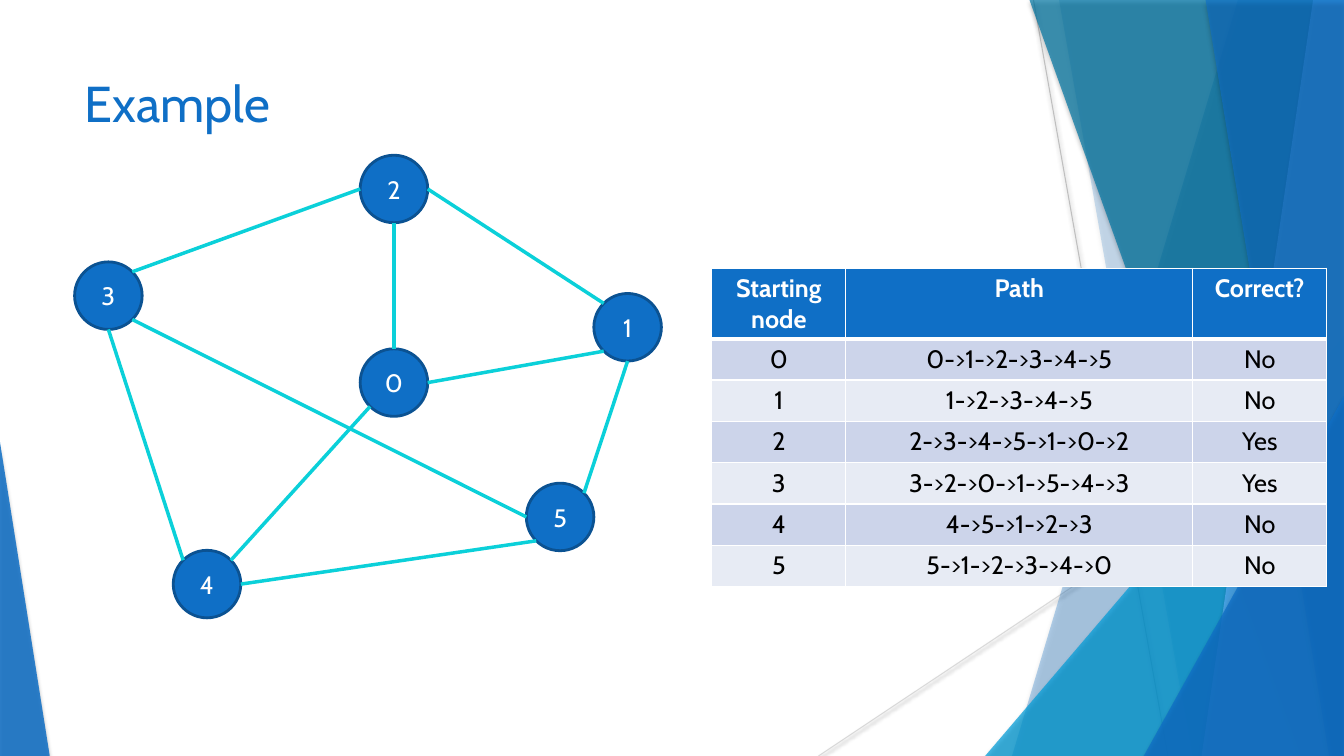
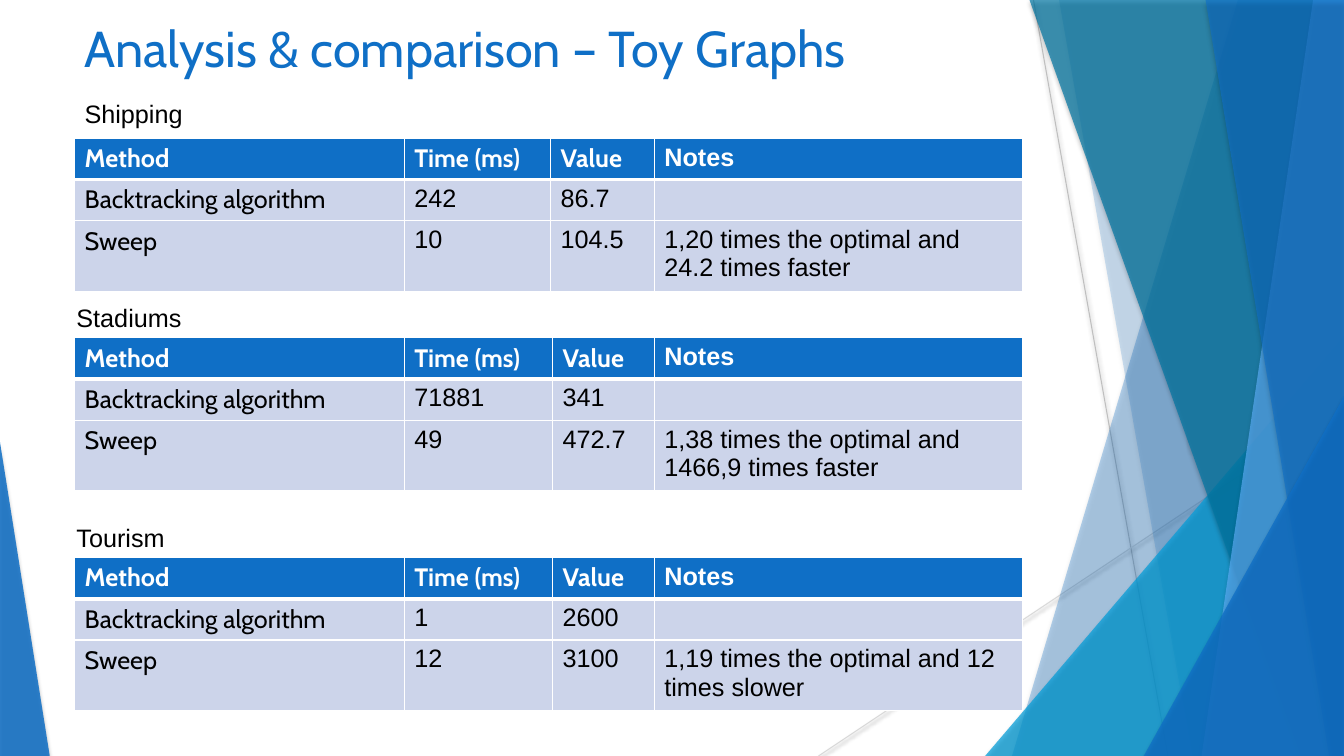
from collections import namedtuple
from math import cos, pi, sin

from lxml import etree
from pptx import Presentation
from pptx.dml.color import RGBColor
from pptx.enum.shapes import MSO_CONNECTOR, MSO_SHAPE
from pptx.enum.text import MSO_ANCHOR, PP_ALIGN
from pptx.oxml.ns import qn
from pptx.util import Inches, Pt

Box = namedtuple("Box", "left top width height")
Facet = namedtuple("Facet", "outline start end color alpha")

STRAIGHT = MSO_CONNECTOR.STRAIGHT
ELLIPSE, TRIANGLE = MSO_SHAPE.OVAL, MSO_SHAPE.ISOSCELES_TRIANGLE
LEFT, CENTER = PP_ALIGN.LEFT, PP_ALIGN.CENTER

SLIDE = Box(0, 0, 13.33, 7.5)
BLUE, DARK_BLUE, AQUA = "0F6FC6", "0B5292", "0BD0D9"
CYAN, TEAL, SKY = "009DD9", "0076A3", "59AAF2"
WHITE, BLACK = "FFFFFF", "000000"
PALE_BLUE, PALE_GRAY = "CCD4EA", "E7EBF4"
CABIN, ARIAL = "Cabin", "Arial"
TITLE_SIZE, BODY_SIZE = 36, 18
THIN_BORDER, THICK_BORDER = 0.96, 3

# Percentages of the slide: a band gives its top and bottom x, a corner its left and top.
FACETS = [
    Facet("band", 92.1, 75.3, BLUE, 30),
    Facet("band", 78.8, 88.7, BLUE, 20),
    Facet("corner", 73.3, 44.4, CYAN, 72),
    Facet("band", 76.6, 96.8, TEAL, 70),
    Facet("band", 97.7, 89.4, SKY, 70),
    Facet("band", 89.7, 98.9, BLUE, 65),
    Facet("corner", 85.1, 52.4, BLUE, 80),
]
RAYS = [((76.9, 0), (86.9, 100), "BFBFBF"), ((100, 53.7), (60.9, 100), "D9D9D9")]

# Connection sites of an ellipse, counted anticlockwise from the top.
(TOP, TOP_LEFT, MID_LEFT, BOTTOM_LEFT,
 BOTTOM, BOTTOM_RIGHT, MID_RIGHT, TOP_RIGHT) = range(8)
NODE_SIZE = 0.67
# Shares of the room that the graph's box leaves for a node.
NODES = {5: (0.87, 0.83), 4: (0.19, 1), 3: (0, 0.27),
         2: (0.55, 0), 1: (1, 0.35), 0: (0.55, 0.49)}
EDGES = [
    (2, BOTTOM, 0, TOP),
    (1, BOTTOM_LEFT, 0, MID_RIGHT),
    (3, BOTTOM_RIGHT, 5, MID_LEFT),
    (4, TOP_RIGHT, 0, BOTTOM_LEFT),
    (5, BOTTOM_LEFT, 4, MID_RIGHT),
    (1, BOTTOM, 5, TOP_RIGHT),
    (1, TOP_LEFT, 2, MID_RIGHT),
    (2, MID_LEFT, 3, TOP_RIGHT),
    (3, BOTTOM, 4, TOP_LEFT),
]

PATH_ROWS = [
    ["Starting node", "Path", "Correct?"],
    ["0", "0->1->2->3->4->5", "No"],
    ["1", "1->2->3->4->5", "No"],
    ["2", "2->3->4->5->1->0->2", "Yes"],
    ["3", "3->2->0->1->5->4->3", "Yes"],
    ["4", "4->5->1->2->3", "No"],
    ["5", "5->1->2->3->4->0", "No"],
]

Comparison = namedtuple("Comparison", "name label_at table_top columns last_row results")
COMPARISON_HEADER = ["Method", "Time (ms)", "Value", "Notes"]
METHODS = ["Backtracking algorithm", "Sweep"]
COMPARISONS = [
    Comparison("Shipping", (0.74, 0.93), 1.37, [3.27, 1.45, 1.03, 3.65], 0.66, [
        ["242", "86.7", ""],
        ["10", "104.5", "1,20 times the optimal and 24.2 times faster"]]),
    Comparison("Stadiums", (0.66, 2.95), 3.35, [3.27, 1.47, 1.01, 3.65], 0.69, [
        ["71881", "341", ""],
        ["49", "472.7", "1,38 times the optimal and 1466,9 times faster"]]),
    Comparison("Tourism", (0.66, 5.13), 5.53, [3.27, 1.47, 1.01, 3.65], 0.69, [
        ["1", "2600", ""],
        ["12", "3100", "1,19 times the optimal and 12 times slower"]]),
]


def rgb(color):
    return RGBColor.from_string(color)


def inches(*lengths):
    return [Inches(length) for length in lengths]


def slide_point(x, y):
    """Turn percentages of the slide into lengths."""
    return inches(SLIDE.width * x / 100, SLIDE.height * y / 100)


def add_element(parent, tag, **attributes):
    element = etree.SubElement(parent, qn(tag))
    for name, value in attributes.items():
        element.set(name, str(value))
    return element


def add_effects(shape, blur=0, distance=0, alpha=0):
    """Replace the theme's shadow by one that falls downwards, or by none."""
    effects = add_element(shape.element.spPr, "a:effectLst")
    if alpha:
        shadow = add_element(effects, "a:outerShdw", blurRad=Pt(blur), dist=Pt(distance),
                             dir=90 * 60000, algn="ctr", rotWithShape=0)
        color = add_element(shadow, "a:srgbClr", val=BLACK)
        add_element(color, "a:alpha", val=alpha * 1000)


def fill_solid(target, color, alpha=100):
    target.fill.solid()
    target.fill.fore_color.rgb = rgb(color)
    if alpha < 100:
        for element in target.element.spPr.iterfind(qn("a:solidFill") + "/" + qn("a:srgbClr")):
            add_element(element, "a:alpha", val=alpha * 1000)


def set_text(text_frame, text, color, font=CABIN, size=BODY_SIZE, bold=False, align=LEFT):
    text_frame.text = text
    for paragraph in text_frame.paragraphs:
        paragraph.alignment = align
        for run in paragraph.runs:
            run.font.name, run.font.size, run.font.bold = font, Pt(size), bold
            run.font.color.rgb = rgb(color)


def add_text(slide, box, text, color, font, size):
    text_frame = slide.shapes.add_textbox(*inches(*box)).text_frame
    text_frame.word_wrap = True
    set_text(text_frame, text, color, font, size)


def add_title(slide, box, text):
    add_text(slide, box, text, BLUE, CABIN, TITLE_SIZE)


def add_line(slide, start, end, color, width):
    line = slide.shapes.add_connector(STRAIGHT, *start, *end)
    line.line.color.rgb = rgb(color)
    line.line.width = Pt(width)
    return line


def finish_facet(shape, color, alpha):
    shape.line.fill.background()
    fill_solid(shape, color, alpha)
    add_effects(shape, 3, 2, 35)


def add_band(slide, top_x, bottom_x):
    """Add a panel from a slanted left side to the right edge of the slide."""
    builder = slide.shapes.build_freeform(*slide_point(top_x, 0))
    builder.add_line_segments(
        [slide_point(x, y) for x, y in [(100, 0), (100, 100), (bottom_x, 100)]], close=True)
    return builder.convert_to_shape()


def add_corner(slide, left, top, right=100, apex=1):
    """Add a triangle that stands on the bottom edge; apex is its peak's share of the width."""
    x, y = slide_point(left, top)
    width, height = slide_point(right - left, 100 - top)
    shape = slide.shapes.add_shape(TRIANGLE, x, y, width, height)
    shape.adjustments[0] = apex
    return shape


def decorate_layout(layout, slide):
    """Draw the shared facets on a slide and move them to its layout."""
    for start, end, color in RAYS:
        ray = add_line(slide, slide_point(*start), slide_point(*end), color, 0.75)
        add_effects(ray, 3.1, 1.6, 38)
    add_outline = {"band": add_band, "corner": add_corner}
    for facet in FACETS:
        shape = add_outline[facet.outline](slide, facet.start, facet.end)
        finish_facet(shape, facet.color, facet.alpha)
    finish_facet(add_corner(slide, 0, 58.5, right=3.7, apex=0), BLUE, 85)
    for shape in list(slide.shapes):
        layout.shapes.element.append(shape.element)


def add_node(slide, left, top, label):
    node = slide.shapes.add_shape(ELLIPSE, *inches(left, top, NODE_SIZE, NODE_SIZE))
    fill_solid(node, BLUE)
    node.line.color.rgb = rgb(DARK_BLUE)
    node.line.width = Pt(2)
    node.shadow.inherit = False
    node.text_frame.vertical_anchor = MSO_ANCHOR.MIDDLE
    set_text(node.text_frame, label, WHITE, align=CENTER)
    return node


def site_point(node, site):
    radius, angle = node.width / 2, site * pi / 4
    return (round(node.left + radius * (1 - sin(angle))),
            round(node.top + radius * (1 - cos(angle))))


def add_edge(slide, start_node, start_site, end_node, end_site):
    edge = add_line(slide, site_point(start_node, start_site),
                    site_point(end_node, end_site), AQUA, 2.5)
    add_effects(edge)
    glue = edge.element.nvCxnSpPr.cNvCxnSpPr
    add_element(glue, "a:stCxn", id=start_node.shape_id, idx=start_site)
    add_element(glue, "a:endCxn", id=end_node.shape_id, idx=end_site)


def add_graph(slide, box):
    nodes = {}
    for number, (across, down) in NODES.items():
        left = box.left + across * (box.width - NODE_SIZE)
        top = box.top + down * (box.height - NODE_SIZE)
        nodes[number] = add_node(slide, left, top, str(number))
    for start, start_site, end, end_site in EDGES:
        add_edge(slide, nodes[start], start_site, nodes[end], end_site)


def set_borders(cell, top, bottom):
    properties = cell._tc.get_or_add_tcPr()
    widths = {"a:lnL": THIN_BORDER, "a:lnR": THIN_BORDER, "a:lnT": top, "a:lnB": bottom}
    for tag, width in widths.items():
        border = add_element(properties, tag, w=Pt(width))
        add_element(add_element(border, "a:solidFill"), "a:srgbClr", val=WHITE)


def add_grid(slide, left, top, columns, heights, rows, header_fonts, body_fonts,
             bands, align=LEFT):
    """Add a table with a blue header; bands are the fills the body rows take in turn."""
    box = Box(left, top, sum(columns), sum(heights))
    table = slide.shapes.add_table(len(rows), len(columns), *inches(*box)).table
    for column, width in zip(table.columns, columns):
        column.width = Inches(width)
    for index, (row, height, texts) in enumerate(zip(table.rows, heights, rows)):
        row.height = Inches(height)
        header = index == 0
        fonts = header_fonts if header else body_fonts
        for cell, text, font in zip(row.cells, texts, fonts):
            set_borders(cell, THICK_BORDER if index == 1 else THIN_BORDER,
                        THICK_BORDER if header else THIN_BORDER)
            fill_solid(cell, BLUE if header else bands[(index - 1) % len(bands)])
            set_text(cell.text_frame, text, WHITE if header else BLACK, font,
                     bold=header, align=align)


def add_comparison(slide, comparison):
    rows = [COMPARISON_HEADER]
    rows += [[method, *result] for method, result in zip(METHODS, comparison.results)]
    add_text(slide, Box(*comparison.label_at, 2.65, 0.4), comparison.name,
             BLACK, ARIAL, BODY_SIZE)
    add_grid(slide, 0.74, comparison.table_top, comparison.columns,
             [0.41, 0.41, comparison.last_row], rows,
             [CABIN] * 3 + [ARIAL], [CABIN] + [ARIAL] * 3, [PALE_BLUE])


def build_example(slide):
    add_title(slide, Box(0.74, 0.67, 9.4, 1.44), "Example")
    add_graph(slide, Box(0.74, 1.54, 5.82, 4.59))
    add_grid(slide, 7.06, 2.66, [1.33, 3.44, 1.33], [0.68] + [0.41] * 6, PATH_ROWS,
             [CABIN] * 3, [CABIN] * 3, [PALE_BLUE, PALE_GRAY], CENTER)


def build_analysis(slide):
    add_title(slide, Box(0.74, 0.12, 9.4, 0.58), "Analysis & comparison – Toy Graphs")
    for comparison in COMPARISONS:
        add_comparison(slide, comparison)


def main():
    presentation = Presentation()
    presentation.slide_width, presentation.slide_height = inches(SLIDE.width, SLIDE.height)
    blank = presentation.slide_layouts[6]
    example, analysis = [presentation.slides.add_slide(blank) for _ in range(2)]
    decorate_layout(blank, example)
    build_example(example)
    build_analysis(analysis)
    presentation.save("out.pptx")


if __name__ == "__main__":
    main()
